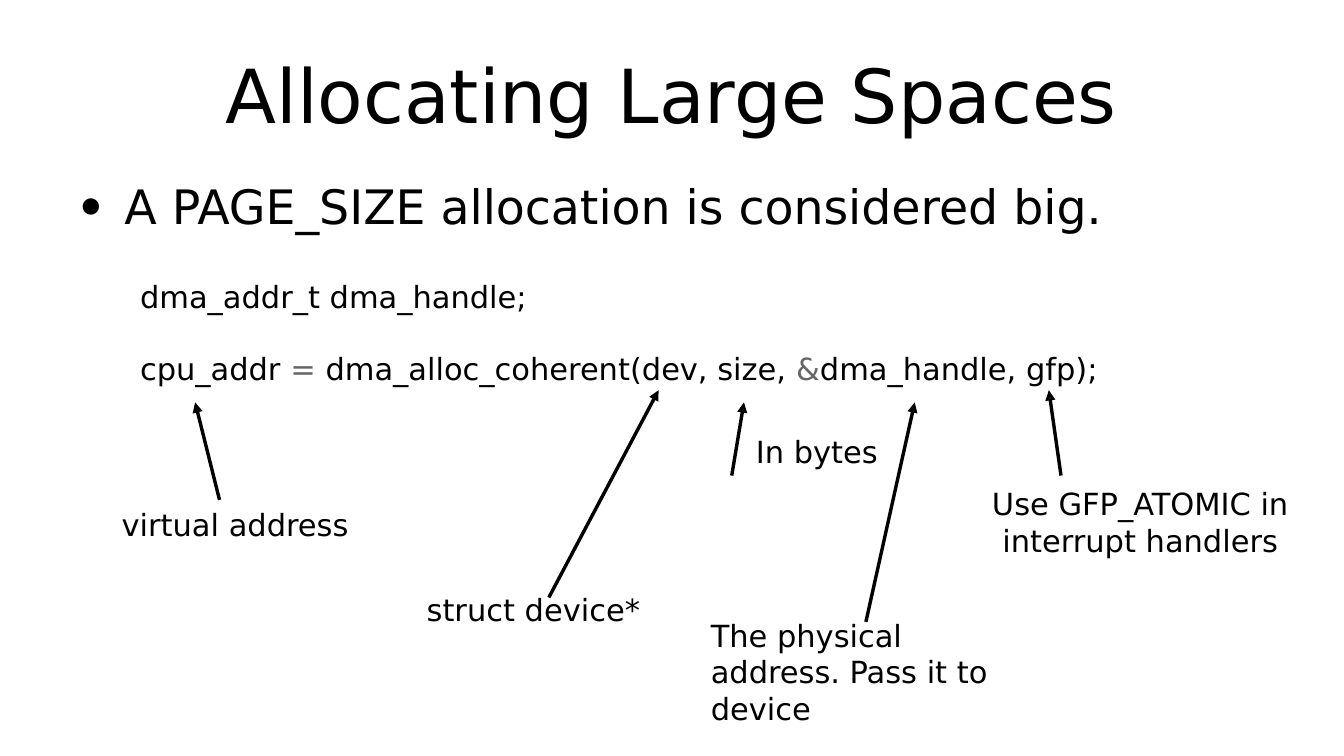
from lxml import etree
from pptx import Presentation
from pptx.dml.color import RGBColor
from pptx.enum.shapes import MSO_CONNECTOR
from pptx.enum.text import MSO_ANCHOR, PP_ALIGN
from pptx.oxml.ns import qn
from pptx.util import Inches, Pt

LEFT, CENTER = PP_ALIGN.LEFT, PP_ALIGN.CENTER
STRAIGHT = MSO_CONNECTOR.STRAIGHT
MIDDLE = MSO_ANCHOR.MIDDLE

BLACK = RGBColor(0x00, 0x00, 0x00)
GRAY = RGBColor(0x66, 0x66, 0x66)
FONT = "DejaVu Sans"
TITLE_SIZE, BULLET_SIZE, NOTE_SIZE = 44, 28, 18

TITLE = "Allocating Large Spaces"
TITLE_BOX = (0.55, 0.25, 9.92, 1.04)
POINT = "A PAGE_SIZE allocation is considered big."
POINT_BOX = (0.55, 1.45, 9.92, 0.6)

# Each code line is a list of (text, colour) pieces.
CODE = [
    [("dma_addr_t dma_handle;", BLACK)],
    [("cpu_addr ", BLACK), ("=", GRAY),
     (" dma_alloc_coherent(dev, size, ", BLACK), ("&", GRAY),
     ("dma_handle, gfp);", BLACK)],
]
CODE_BOX = (1.05, 2.23, 8.05, 0.97)
CODE_GAP = 21

# Text, box, alignment, wrap, arrow start, arrow end
NOTES = [
    ("In bytes", (6.1, 3.5, 1.2, 0.68), LEFT, True, (6, 3.9), (6.1, 3.3)),
    ("Use GFP_ATOMIC in interrupt handlers", (7.5, 3.93, 3.7, 0.97),
     CENTER, True, (8.7, 3.9), (8.6, 3.2)),
    ("The physical address. Pass it to device", (5.73, 5.01, 2.77, 0.97),
     LEFT, True, (7.1, 5.1), (7.5, 3.3)),
    ("virtual address", (0.9, 4.1, 2.06, 0.39), LEFT, False,
     (1.8, 4.1), (1.6, 3.3)),
    ("struct device*", (3.4, 4.8, 1.95, 0.39), LEFT, False,
     (4.5, 4.9), (5.4, 3.2)),
]


def style(run, size, color=BLACK):
    run.font.name = FONT
    run.font.size = Pt(size)
    run.font.color.rgb = color


def clear_margins(frame):
    frame.margin_left = frame.margin_right = 0
    frame.margin_top = frame.margin_bottom = 0


def add_text(slide, box, wrap=True):
    frame = slide.shapes.add_textbox(*map(Inches, box)).text_frame
    frame.word_wrap = wrap
    return frame


def add_bullet(paragraph):
    properties = paragraph._p.get_or_add_pPr()
    properties.set("marL", str(Inches(0.47)))
    properties.set("indent", str(Inches(-0.35)))
    for tag, key, value in (("a:buSzPct", "val", "45000"),
                            ("a:buFont", "typeface", FONT),
                            ("a:buChar", "char", "●")):
        etree.SubElement(properties, qn(tag)).set(key, value)


def add_arrow(slide, start, end):
    arrow = slide.shapes.add_connector(STRAIGHT, *map(Inches, start + end))
    arrow.line.color.rgb = BLACK
    arrow.line.width = Pt(0)
    head = etree.SubElement(arrow.line._get_or_add_ln(), qn("a:tailEnd"))
    head.set("type", "triangle")
    etree.SubElement(arrow._element.spPr, qn("a:effectLst"))


def main():
    deck = Presentation()
    deck.slide_width, deck.slide_height = Inches(11.02), Inches(6.2)
    slide = deck.slides.add_slide(deck.slide_layouts[5])

    title = slide.shapes.title
    title.left, title.top, title.width, title.height = map(Inches, TITLE_BOX)
    title.text_frame.text = TITLE
    title.text_frame.vertical_anchor = MIDDLE
    clear_margins(title.text_frame)
    heading = title.text_frame.paragraphs[0]
    heading.alignment = CENTER
    style(heading.runs[0], TITLE_SIZE)

    point = add_text(slide, POINT_BOX)
    clear_margins(point)
    point.text = POINT
    add_bullet(point.paragraphs[0])
    style(point.paragraphs[0].runs[0], BULLET_SIZE)

    code = add_text(slide, CODE_BOX, wrap=False)
    for number, pieces in enumerate(CODE):
        line = code.add_paragraph() if number else code.paragraphs[0]
        if number:
            line.space_before = Pt(CODE_GAP)
        for text, color in pieces:
            run = line.add_run()
            run.text = text
            style(run, NOTE_SIZE, color)

    for text, box, alignment, wrap, start, end in NOTES:
        add_arrow(slide, start, end)
        note = add_text(slide, box, wrap)
        note.text = text
        note.paragraphs[0].alignment = alignment
        style(note.paragraphs[0].runs[0], NOTE_SIZE)

    deck.save("out.pptx")


if __name__ == "__main__":
    main()
